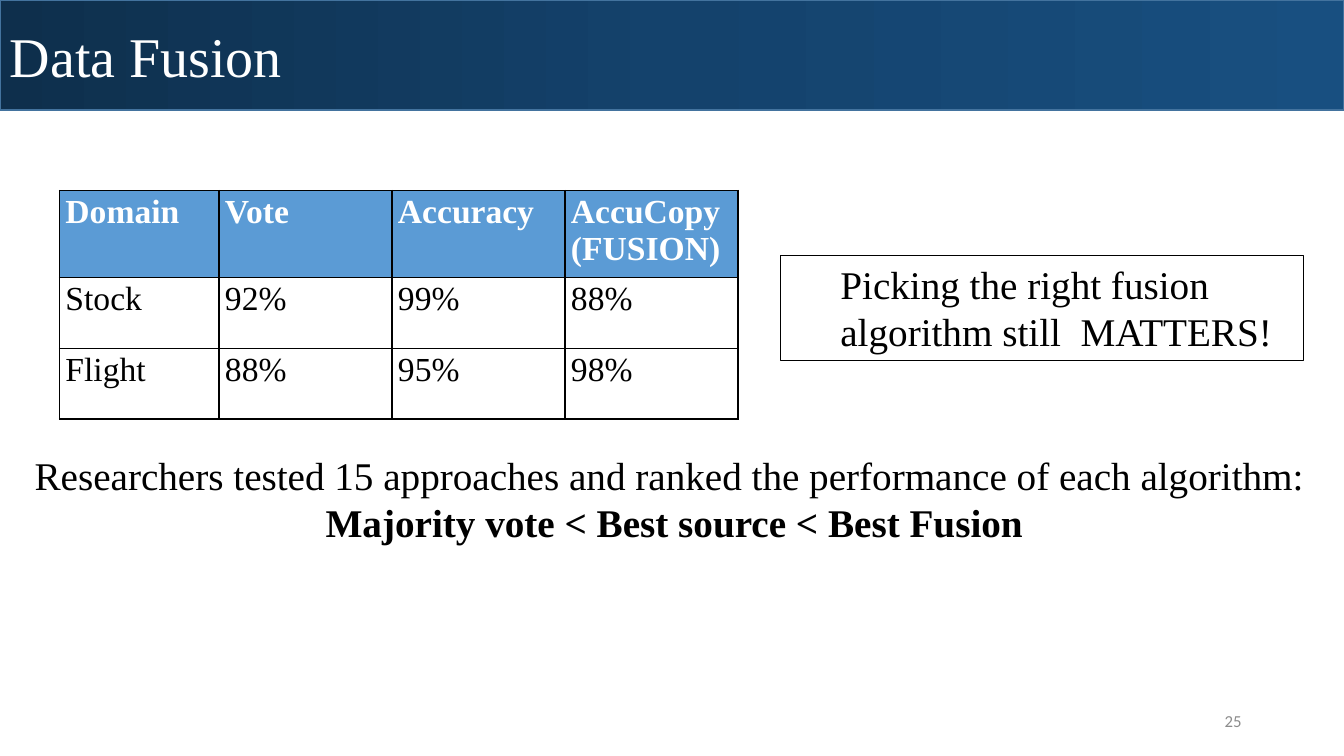
import copy

import lxml.etree
import pptx
import pptx.dml.color
import pptx.enum.shapes
import pptx.enum.text
import pptx.oxml.ns
import pptx.util

Cm = pptx.util.Cm
Pt = pptx.util.Pt
RGBColor = pptx.dml.color.RGBColor
Align = pptx.enum.text.PP_ALIGN
Anchor = pptx.enum.text.MSO_ANCHOR
qn = pptx.oxml.ns.qn

BLACK = RGBColor(0x00, 0x00, 0x00)
WHITE = RGBColor(0xFF, 0xFF, 0xFF)
GREY = RGBColor(0x8C, 0x8C, 0x8C)
HEADER_BLUE = RGBColor(0x5B, 0x9B, 0xD5)
BANNER_LINE = RGBColor(0x43, 0x73, 0x9E)
BANNER_STOPS = [
    (0, RGBColor(0x0E, 0x2F, 0x4C)),
    (0.5, RGBColor(0x14, 0x42, 0x6C)),
    (1, RGBColor(0x18, 0x4F, 0x80)),
]

RESULTS = [
    ["Domain", "Vote", "Accuracy", "AccuCopy (FUSION)"],
    ["Stock", "92%", "99%", "88%"],
    ["Flight", "88%", "95%", "98%"],
]


class SlideBuilder:
    serif = "Times New Roman"
    sans = "Calibri"
    indent = Cm(1.27)

    def __init__(self, page):
        self.page = page

    def style(self, para, size, color, font=serif, bold=False, align=Align.LEFT):
        para.alignment = align
        para.font.name = font
        para.font.size = Pt(size)
        para.font.color.rgb = color
        para.font.bold = bold

    def indent_para(self, para):
        properties = para._p.get_or_add_pPr()
        properties.set("marL", str(self.indent))
        properties.set("indent", "0")

    def banner(self, title, width, height):
        box = self.page.shapes.add_shape(
            pptx.enum.shapes.MSO_SHAPE.RECTANGLE, 0, 0, width, height)
        box.shadow.inherit = False
        box.line.color.rgb = BANNER_LINE
        box.line.width = Pt(1)
        box.fill.gradient()
        box.fill.gradient_angle = 0
        stops = box._element.spPr.find(".//" + qn("a:gsLst"))
        stops.insert(1, copy.deepcopy(stops[0]))
        for stop, (position, color) in zip(box.fill.gradient_stops, BANNER_STOPS):
            stop.position = position
            stop.color.rgb = color
        box.text_frame.vertical_anchor = Anchor.MIDDLE
        box.text_frame.text = title
        self.style(box.text_frame.paragraphs[0], 40, WHITE)

    def text(self, words, left, top, width, height, anchor=Anchor.TOP):
        box = self.page.shapes.add_textbox(left, top, width, height)
        box.text_frame.word_wrap = True
        box.text_frame.vertical_anchor = anchor
        box.text_frame.text = words
        return box, box.text_frame.paragraphs[0]

    def page_number(self, number, left, top, width, height):
        box, para = self.text(number, left, top, width, height, Anchor.MIDDLE)
        self.style(para, 12, GREY, self.sans, align=Align.RIGHT)

    def callout(self, words, left, top, width, height):
        box, para = self.text(words, left, top, width, height)
        box.line.color.rgb = BLACK
        box.line.width = Pt(0.75)
        self.style(para, 28, BLACK)
        self.indent_para(para)

    def conclusion(self, finding, ranking, left, top, width, height):
        box, para = self.text(finding, left, top, width, height)
        self.style(para, 28, BLACK, align=Align.CENTER)
        self.indent_para(para)
        para.add_line_break()
        span = para.add_run()
        span.text = ranking
        span.font.bold = True

    def cell_border(self, cell):
        properties = cell._tc.get_or_add_tcPr()
        for side in ("a:lnL", "a:lnR", "a:lnT", "a:lnB"):
            line = lxml.etree.SubElement(properties, qn(side), w=str(Pt(1)))
            fill = lxml.etree.SubElement(line, qn("a:solidFill"))
            lxml.etree.SubElement(fill, qn("a:srgbClr"), val=str(BLACK))

    def table(self, rows, left, top, widths, heights):
        frame = self.page.shapes.add_table(
            len(rows), len(widths), left, top, sum(widths), sum(heights))
        grid = frame.table
        grid.horz_banding = False
        for column, width in zip(grid.columns, widths):
            column.width = width
        for row_index, (row, height) in enumerate(zip(rows, heights)):
            grid.rows[row_index].height = height
            header = row_index == 0
            for column_index, words in enumerate(row):
                cell = grid.cell(row_index, column_index)
                cell.margin_left = cell.margin_right = Cm(0.15)
                cell.margin_top = cell.margin_bottom = Cm(0.08)
                self.cell_border(cell)
                if header:
                    cell.fill.solid()
                    cell.fill.fore_color.rgb = HEADER_BLUE
                else:
                    cell.fill.background()
                cell.text = words
                self.style(cell.text_frame.paragraphs[0], 24,
                           WHITE if header else BLACK, bold=header)


def main():
    deck = pptx.Presentation()
    deck.slide_width = Cm(33.87)
    deck.slide_height = Cm(19.05)
    builder = SlideBuilder(deck.slides.add_slide(deck.slide_layouts[6]))

    builder.banner("Data Fusion", deck.slide_width, Cm(2.77))
    builder.page_number("25", Cm(23.92), Cm(17.66), Cm(7.62), Cm(1.01))
    builder.callout("Picking the right fusion algorithm still  MATTERS!",
                    Cm(19.66), Cm(6.43), Cm(13.2), Cm(2.65))
    builder.table(RESULTS, Cm(1.5), Cm(4.8),
                  [Cm(4.02)] + [Cm(4.36)] * 3, [Cm(2.2)] + [Cm(1.78)] * 2)
    builder.conclusion(
        "Researchers tested 15 approaches and ranked the performance of each algorithm: ",
        "Majority vote < Best source < Best Fusion",
        Cm(-0.74), Cm(11.25), Cm(34.19), Cm(2.65))

    deck.save("out.pptx")


if __name__ == "__main__":
    main()
